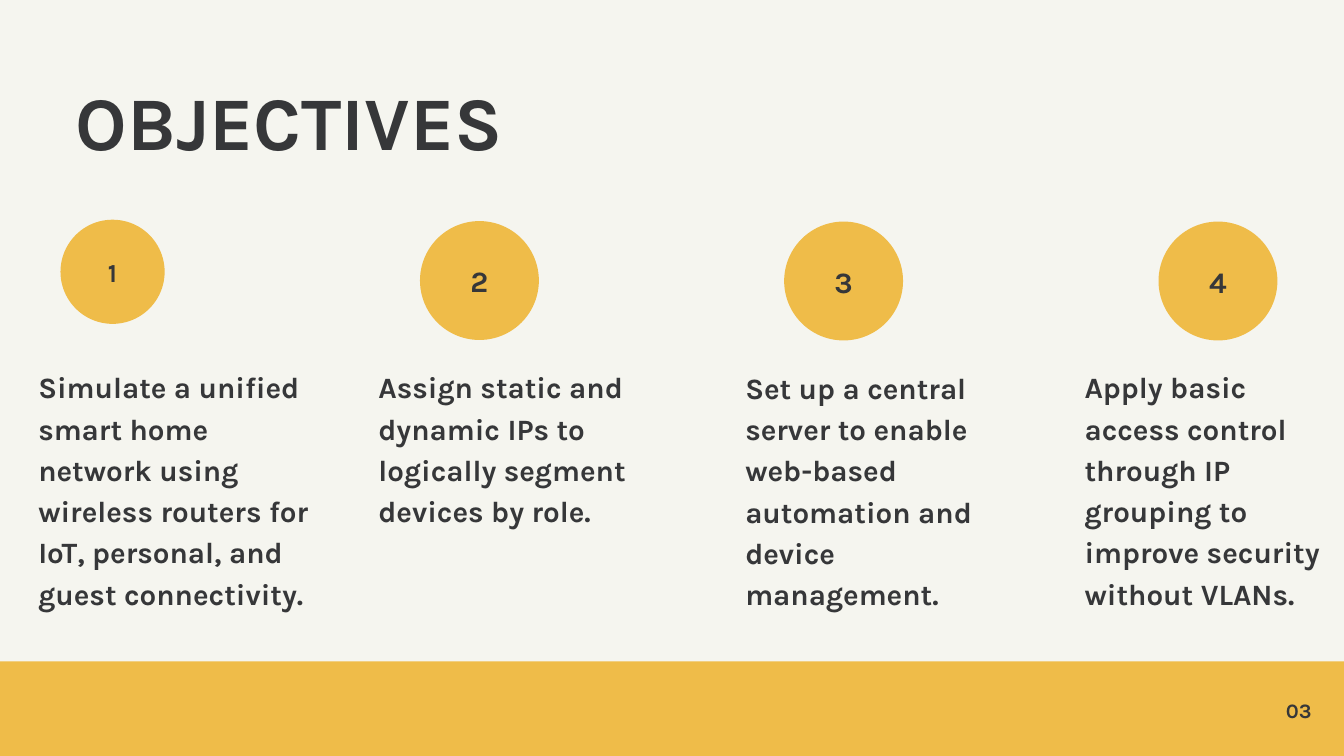
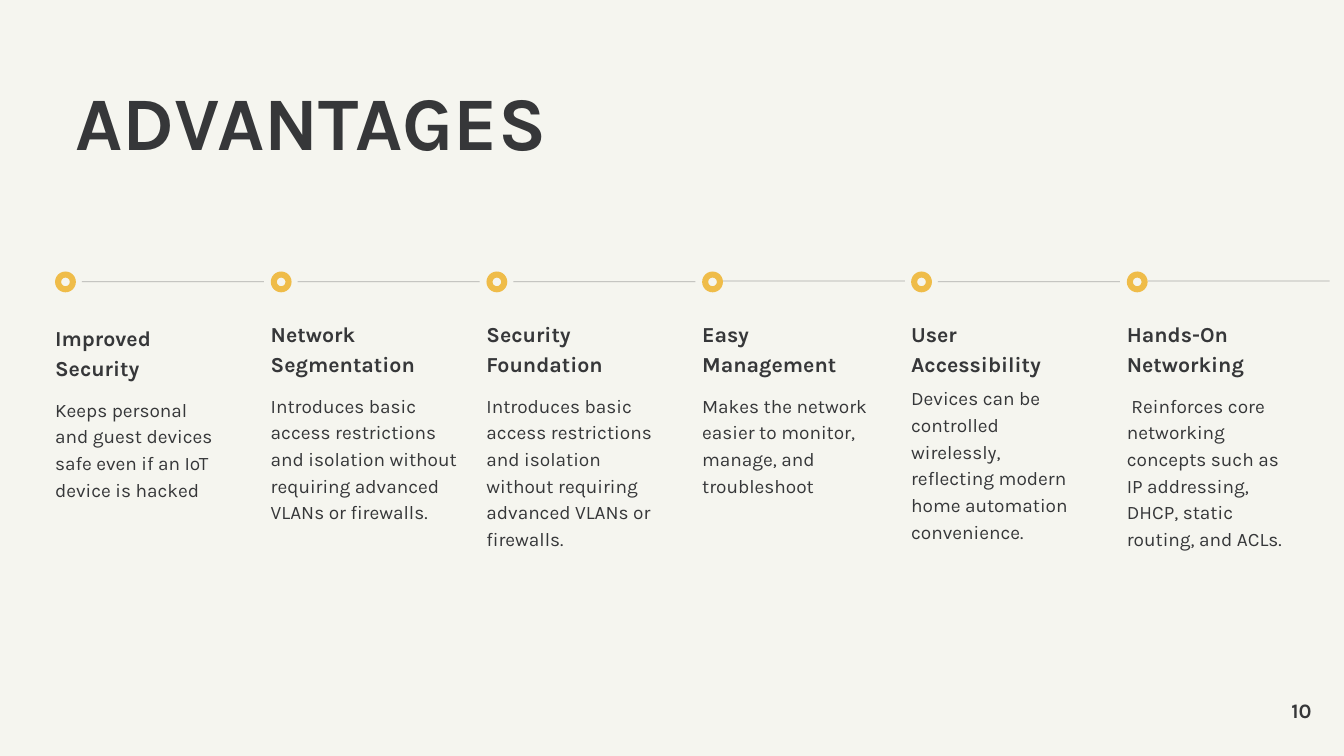
from dataclasses import dataclass

from lxml.etree import SubElement
from pptx import Presentation
from pptx.dml.color import RGBColor
from pptx.enum.shapes import MSO_CONNECTOR, MSO_SHAPE
from pptx.enum.text import MSO_AUTO_SIZE, PP_ALIGN
from pptx.oxml.ns import qn
from pptx.util import Pt


@dataclass(frozen=True)
class Style:
    size: float
    leading: float
    bold: bool = True
    align: PP_ALIGN = PP_ALIGN.LEFT


class Theme:
    font = "Karla"
    paper = RGBColor.from_string("F5F5EF")
    ink = RGBColor.from_string("363739")
    accent = RGBColor.from_string("EFBC49")
    title = Style(81, 97.2)
    page = Style(22, 27.5, align=PP_ALIGN.RIGHT)
    objective = Style(31.6, 44.2)
    heading = Style(22.9, 32)
    detail = Style(20.4, 28.6, bold=False)


WIDTH, HEIGHT = 1440, 810

OBJECTIVES = [
    {"text": "Simulate a unified smart home network using wireless routers for IoT, personal, and guest connectivity.",
     "left": 41, "width": 291.6, "top": 389.5, "lines": 6,
     "circle": (64.8, 235.4, 111.6), "digit": 27.7},
    {"text": "Assign static and dynamic IPs to logically segment devices by role.",
     "left": 405.4, "width": 291.6, "top": 389.5, "lines": 4,
     "circle": (450, 236.9, 127.4), "digit": 31.7},
    {"text": "Set up a central server to enable web-based automation and device management.",
     "left": 798.5, "width": 291.6, "top": 390.2, "lines": 5,
     "circle": (840.2, 237.4, 127.4), "digit": 31.7},
    {"text": "Apply basic access control through IP grouping to improve security without VLANs.",
     "left": 1162.1, "width": 277.9, "top": 389.5, "lines": 5,
     "circle": (1241.3, 237.4, 127.4), "digit": 31.7},
]

ADVANTAGES = [
    {"heading": "Improved Security",
     "detail": "Keeps personal and guest devices safe even if an IoT device is hacked",
     "width": 181.4, "lines": 4, "heading_top": 344.2, "detail_top": 422.6},
    {"heading": "Network Segmentation",
     "detail": "Introduces basic access restrictions and isolation without requiring advanced VLANs or firewalls.",
     "width": 205.9, "lines": 5},
    {"heading": "Security Foundation",
     "detail": "Introduces basic access restrictions and isolation without requiring advanced VLANs or firewalls.",
     "width": 188.6, "lines": 6},
    {"heading": "Easy Management",
     "detail": "Makes the network easier to monitor, manage, and troubleshoot",
     "width": 181.4, "lines": 4, "touching": True},
    {"heading": "User Accessibility",
     "detail": "Devices can be controlled wirelessly, reflecting modern home automation convenience.",
     "width": 188.6, "lines": 6, "detail_top": 410.4},
    {"heading": "Hands-On Networking",
     "detail": "Reinforces core networking concepts such as IP addressing, DHCP, static routing, and ACLs.",
     "width": 181.4, "lines": 6, "touching": True, "indent": 5},
]

FIRST_LEFT, PITCH, SHIFT = 59, 231.1, 7.2
RING, RING_TOP, RING_GAP = 22.3, 290.9, 6.5
TRACK_LENGTH, TRACK_Y = 195, 301.8


def add_text(slide, text, left, top, width, height, style, indent=0):
    box = slide.shapes.add_textbox(Pt(left), Pt(top), Pt(width), Pt(height))
    frame = box.text_frame
    frame.word_wrap = True
    frame.auto_size = MSO_AUTO_SIZE.SHAPE_TO_FIT_TEXT
    frame.margin_left = frame.margin_right = frame.margin_top = frame.margin_bottom = 0
    paragraph = frame.paragraphs[0]
    paragraph.text = text
    paragraph.alignment = style.align
    paragraph.line_spacing = Pt(style.leading)
    paragraph.font.name = Theme.font
    paragraph.font.size = Pt(style.size)
    paragraph.font.bold = style.bold
    paragraph.font.color.rgb = Theme.ink
    if indent:
        properties = paragraph._p.get_or_add_pPr()
        properties.set("marL", "0")
        properties.set("indent", str(Pt(indent)))


def add_accent(slide, preset, left, top, width, height):
    accent = slide.shapes.add_shape(preset, Pt(left), Pt(top), Pt(width), Pt(height))
    accent.shadow.inherit = False
    accent.fill.solid()
    accent.fill.fore_color.rgb = Theme.accent
    accent.line.fill.background()
    return accent


def add_track(slide, left, y):
    track = slide.shapes.add_connector(
        MSO_CONNECTOR.STRAIGHT, Pt(left), Pt(y), Pt(left + TRACK_LENGTH), Pt(y))
    track.line.width = Pt(0.75)
    track.line.color.rgb = Theme.ink
    properties = track._element.spPr
    color = properties.find(".//" + qn("a:srgbClr"))
    SubElement(color, qn("a:alpha")).set("val", "39000")
    SubElement(properties, qn("a:effectLst"))


def start_slide(deck, title, title_width, page, band=False):
    slide = deck.slides.add_slide(deck.slide_layouts[6])
    slide.background.fill.solid()
    slide.background.fill.fore_color.rgb = Theme.paper
    if band:
        add_accent(slide, MSO_SHAPE.RECTANGLE, 0, 708.5, WIDTH, HEIGHT - 708.5)
    add_text(slide, title, 81, 80.6, title_width, 96.5, Theme.title)
    add_text(slide, page, 1342.8, 746.6, 62.6, 27.5, Theme.page)
    return slide


def build_objectives(deck):
    slide = start_slide(deck, "OBJECTIVES", 1020, "03", band=True)
    for number, objective in enumerate(OBJECTIVES, 1):
        left, top, diameter = objective["circle"]
        add_accent(slide, MSO_SHAPE.OVAL, left, top, diameter, diameter)
        digit = Style(objective["digit"], objective["digit"] * 1.25, align=PP_ALIGN.CENTER)
        digit_width = diameter * 0.47
        add_text(slide, str(number), left + (diameter - digit_width) / 2, top + diameter * 0.34,
                 digit_width, diameter * 0.3, digit)
        add_text(slide, objective["text"], objective["left"], objective["top"], objective["width"],
                 objective["lines"] * Theme.objective.leading, Theme.objective)


def build_advantages(deck):
    slide = start_slide(deck, "ADVANTAGES", 1278, "10")
    for index, advantage in enumerate(ADVANTAGES):
        left = FIRST_LEFT + PITCH * index - (SHIFT if index > 3 else 0)
        touching = advantage.get("touching", False)
        add_track(slide, left + RING + (0 if touching else RING_GAP),
                  TRACK_Y - (0.8 if touching else 0))
        ring = add_accent(slide, MSO_SHAPE.DONUT, left, RING_TOP, RING, RING)
        ring.adjustments[0] = 0.29
        add_text(slide, advantage["heading"], left, advantage.get("heading_top", 339.2),
                 advantage["width"], 2 * Theme.heading.leading, Theme.heading)
        add_text(slide, advantage["detail"], left, advantage.get("detail_top", 418.2),
                 advantage["width"], advantage["lines"] * Theme.detail.leading,
                 Theme.detail, advantage.get("indent", 0))


def main():
    deck = Presentation()
    deck.slide_width, deck.slide_height = Pt(WIDTH), Pt(HEIGHT)
    build_objectives(deck)
    build_advantages(deck)
    deck.save("out.pptx")


if __name__ == "__main__":
    main()
